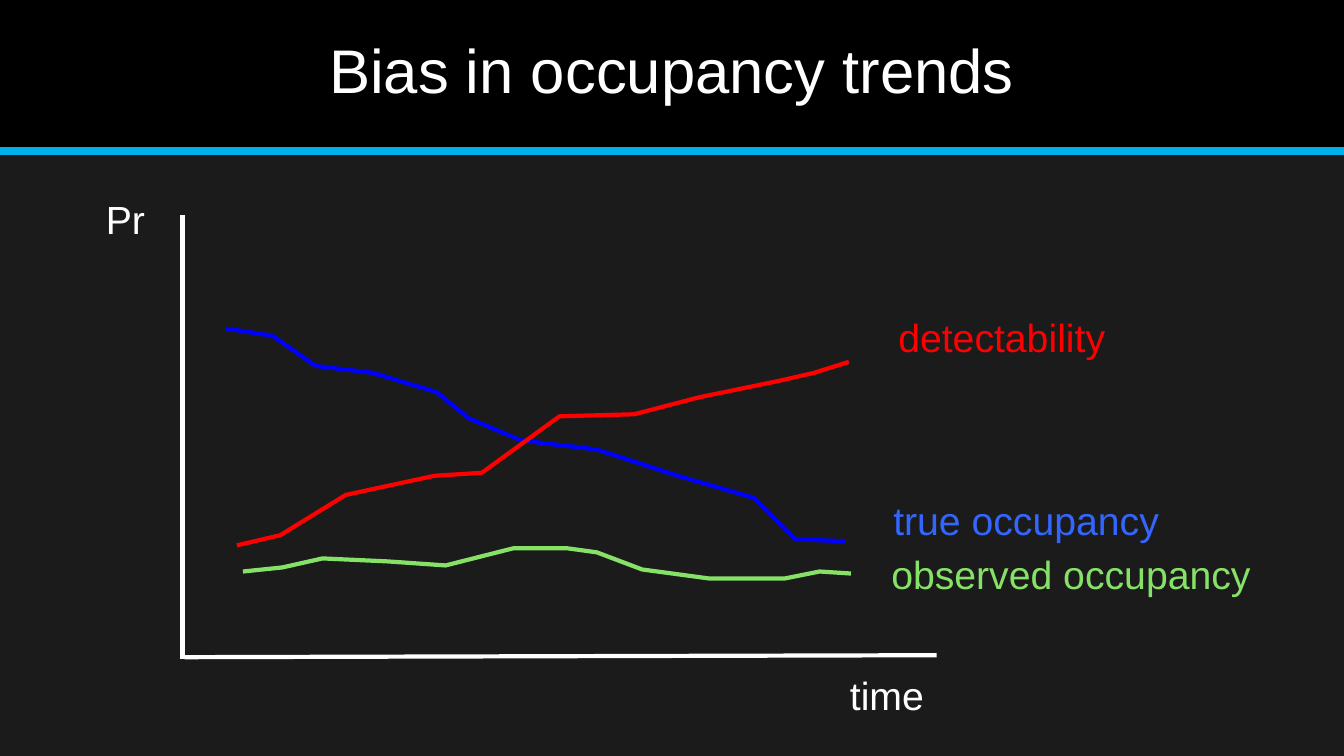
from lxml import etree
from pptx import Presentation
from pptx.dml.color import RGBColor
from pptx.enum.shapes import MSO_CONNECTOR, MSO_SHAPE
from pptx.enum.text import MSO_ANCHOR, PP_ALIGN
from pptx.oxml.ns import qn
from pptx.util import Inches, Pt

RECT, STRAIGHT = MSO_SHAPE.RECTANGLE, MSO_CONNECTOR.STRAIGHT
TOP, LEFT, CENTER = MSO_ANCHOR.TOP, PP_ALIGN.LEFT, PP_ALIGN.CENTER
WIDE, HIGH = 13.33, 7.5
FONT = "Arial"
WHITE, BLACK, DARK, CYAN = "FFFFFF", "000000", "1B1B1B", "00B0EA"
RED, BLUE, SKY, GREEN = "FF0000", "0000FF", "3366FF", "86E167"

# text, left, top, width, height, size, colour, alignment
TITLE = ("Bias in occupancy trends", 3.25, 0.31, 6.83, 0.76, 44, WHITE, CENTER)
LABELS = [
    (text, left, top, width, 0.49, 28, color, LEFT)
    for text, left, top, width, color in [
        ("detectability", 8.91, 3.1, 2.2, RED),
        ("true occupancy", 8.86, 4.91, 2.9, SKY),
        ("observed occupancy", 8.84, 5.45, 3.8, GREEN),
        ("time", 8.43, 6.65, 0.9, WHITE),
        ("Pr", 1.05, 1.93, 0.6, WHITE),
    ]
]

# start, end, colour, weight
RULE = ((0, 1.5), (WIDE, 1.5), CYAN, 6)
AXES = [
    ((1.81, 2.13), (1.81, 6.54), WHITE, 3),
    ((9.29, 6.5), (1.83, 6.52), WHITE, 3),
]

TRENDS = {
    BLUE: [(2.24, 3.26), (2.7, 3.33), (3.13, 3.63), (3.7, 3.7), (4.33, 3.89),
           (4.65, 4.15), (5.17, 4.37), (5.92, 4.46), (6.72, 4.72),
           (7.48, 4.94), (7.89, 5.35), (8.39, 5.37)],
    RED: [(2.35, 5.41), (2.78, 5.31), (3.43, 4.91), (4.31, 4.72), (4.78, 4.69),
          (5.55, 4.13), (6.29, 4.11), (6.94, 3.94), (7.72, 3.78),
          (8.07, 3.7), (8.42, 3.59)],
    GREEN: [(2.41, 5.67), (2.8, 5.63), (3.2, 5.54), (3.85, 5.57), (4.42, 5.61),
            (5.09, 5.44), (5.63, 5.44), (5.92, 5.48), (6.37, 5.65),
            (7.04, 5.74), (7.48, 5.74), (7.78, 5.74), (8.13, 5.67),
            (8.44, 5.69)],
}


def paint(fill, color):
    fill.solid()
    fill.fore_color.rgb = RGBColor.from_string(color)


def stroke(line, color, weight):
    paint(line.fill, color)
    line.width = Pt(weight)


def add_text(shapes, text, left, top, width, height, size, color, align):
    box = shapes.add_textbox(*map(Inches, (left, top, width, height)))
    frame = box.text_frame
    frame.word_wrap = True
    frame.vertical_anchor = TOP
    frame.margin_left = frame.margin_right = frame.margin_bottom = 0
    frame.margin_top = Inches(0.01)
    frame.text = text
    para = frame.paragraphs[0]
    para.alignment = align
    font = para.runs[0].font
    font.name, font.size = FONT, Pt(size)
    font.color.rgb = RGBColor.from_string(color)


def add_line(shapes, start, end, color, weight):
    line = shapes.add_connector(STRAIGHT, *map(Inches, start + end))
    stroke(line.line, color, weight)
    etree.SubElement(line._element.spPr, qn("a:effectLst"))


def add_trend(shapes, color, points):
    first, *rest = [tuple(map(Inches, point)) for point in points]
    pen = shapes.build_freeform(*first)
    pen.add_line_segments(rest, close=False)
    curve = pen.convert_to_shape()
    curve.shadow.inherit = False
    curve.fill.background()
    stroke(curve.line, color, 3)


def main():
    deck = Presentation()
    deck.slide_width, deck.slide_height = Inches(WIDE), Inches(HIGH)
    slide = deck.slides.add_slide(deck.slide_layouts[6])
    shapes = slide.shapes
    paint(slide.background.fill, DARK)

    band = shapes.add_shape(RECT, 0, 0, Inches(WIDE), Inches(1.46))
    band.shadow.inherit = False
    paint(band.fill, BLACK)
    band.line.fill.background()

    for line in [RULE, *AXES]:
        add_line(shapes, *line)
    for color, points in TRENDS.items():
        add_trend(shapes, color, points)
    for label in [TITLE, *LABELS]:
        add_text(shapes, *label)
    deck.save("out.pptx")


if __name__ == "__main__":
    main()
